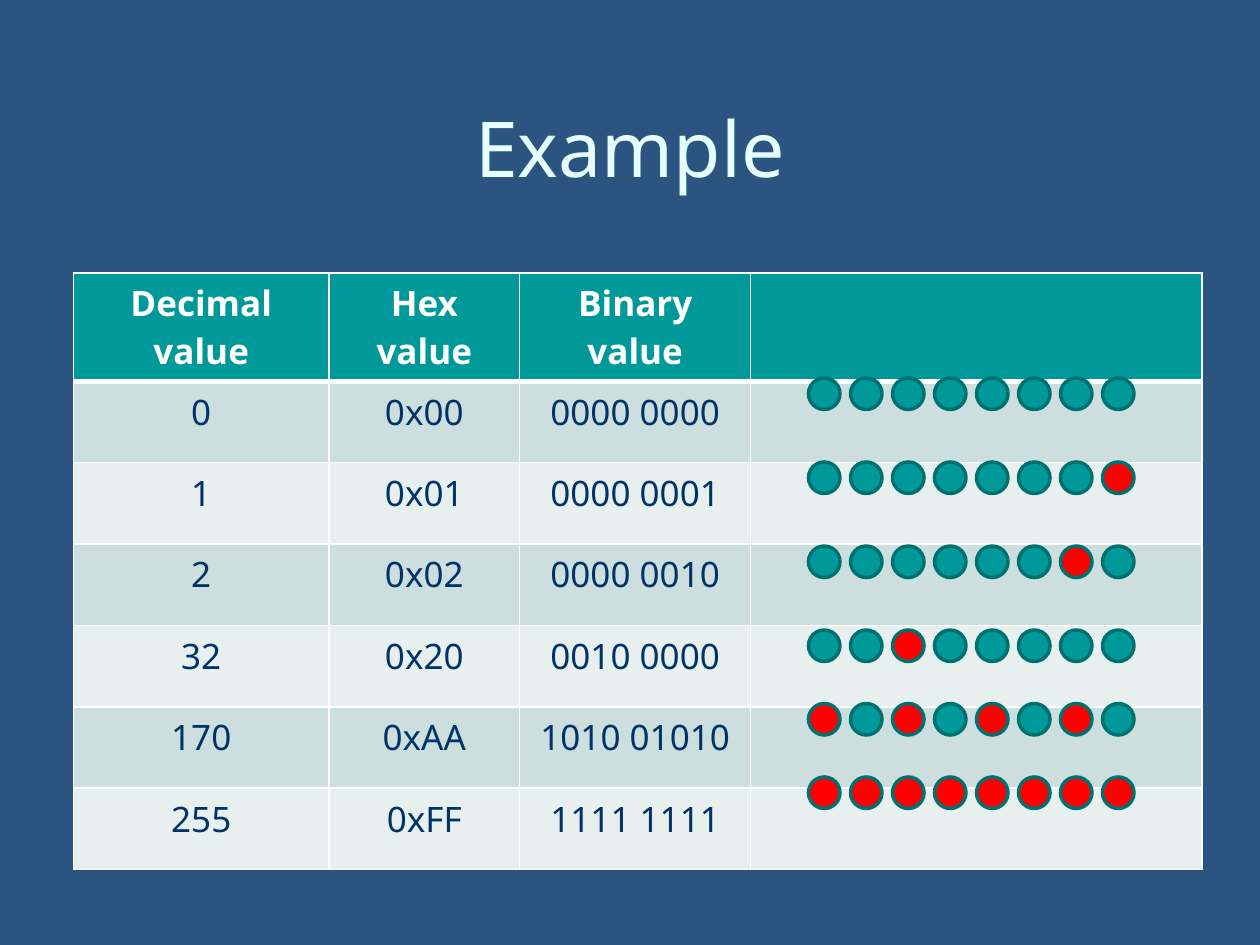
from lxml.etree import SubElement
from pptx import Presentation
from pptx.dml.color import RGBColor
from pptx.enum.shapes import MSO_SHAPE
from pptx.enum.text import MSO_ANCHOR, PP_ALIGN
from pptx.oxml.ns import qn
from pptx.util import Pt

FONT = "Noto Sans"
HEADERS = ["Decimal value", "Hex value", "Binary value", ""]
EXAMPLES = [
    (0, "0x00", "0000 0000"),
    (1, "0x01", "0000 0001"),
    (2, "0x02", "0000 0010"),
    (32, "0x20", "0010 0000"),
    (170, "0xAA", "1010 01010"),
    (255, "0xFF", "1111 1111"),
]
LIGHT_TOPS = [216, 264, 312, 360, 402, 444]


def paint(color_format, color):
    color_format.rgb = RGBColor.from_string(color)


def fill_solid(fill, color):
    fill.solid()
    paint(fill.fore_color, color)


def format_text(frame, size, color, bold=False):
    for para in frame.paragraphs:
        para.alignment = PP_ALIGN.CENTER
        for span in para.runs:
            span.font.name = FONT
            span.font.size = Pt(size)
            span.font.bold = bold
            paint(span.font.color, color)


def set_borders(cell, top, bottom):
    properties = cell._tc.get_or_add_tcPr()
    for side, width in (("L", 1), ("R", 1), ("T", top), ("B", bottom)):
        line = SubElement(properties, qn("a:ln" + side), w=str(Pt(width)))
        solid = SubElement(line, qn("a:solidFill"))
        SubElement(solid, qn("a:srgbClr"), val="FFFFFF")


def add_title(page, text, left, top, width, height):
    title = page.shapes.title
    title.left, title.top = Pt(left), Pt(top)
    title.width, title.height = Pt(width), Pt(height)
    title.text_frame.text = text
    title.text_frame.vertical_anchor = MSO_ANCHOR.MIDDLE
    format_text(title.text_frame, 44, "E5FFFF")


def add_value_table(page, left, top, column_widths, row_height):
    rows = [HEADERS] + [(*example, "") for example in EXAMPLES]
    frame = page.shapes.add_table(
        len(rows), len(HEADERS), Pt(left), Pt(top),
        Pt(sum(column_widths)), Pt(row_height * len(rows)))
    table = frame.table
    for column, width in zip(table.columns, column_widths):
        column.width = Pt(width)
    for row_index, values in enumerate(rows):
        table.rows[row_index].height = Pt(row_height)
        header = row_index == 0
        band = "009999" if header else ("E7EFEF", "CCDEDE")[row_index % 2]
        for column_index, value in enumerate(values):
            cell = table.cell(row_index, column_index)
            set_borders(cell, 3 if row_index == 1 else 1, 3 if header else 1)
            fill_solid(cell.fill, band)
            if value != "":
                cell.text_frame.text = str(value)
                format_text(cell.text_frame, 20, "FFFFFF" if header else "003366", header)


def add_light_row(page, value, left, top, size=18, pitch=24):
    group = page.shapes.add_group_shape()
    for index, bit in enumerate(f"{value:08b}"):
        light = group.shapes.add_shape(
            MSO_SHAPE.OVAL, Pt(left + index * pitch), Pt(top), Pt(size), Pt(size))
        light.shadow.inherit = False
        fill_solid(light.fill, "FF0000" if bit == "1" else "009999")
        paint(light.line.color, "007171")
        light.line.width = Pt(2)


def build_example_page(deck):
    page = deck.slides.add_slide(deck.slide_layouts[5])
    fill_solid(page.background.fill, "2B5481")
    add_title(page, "Example", 36, 30, 648, 108)
    add_value_table(page, 42, 156, [146, 109, 132, 258], 46.5)
    for (value, _, _), top in zip(EXAMPLES, LIGHT_TOPS):
        add_light_row(page, value, 462, top)


deck = Presentation()
deck.slide_width, deck.slide_height = Pt(720), Pt(540)
build_example_page(deck)
deck.save("out.pptx")
